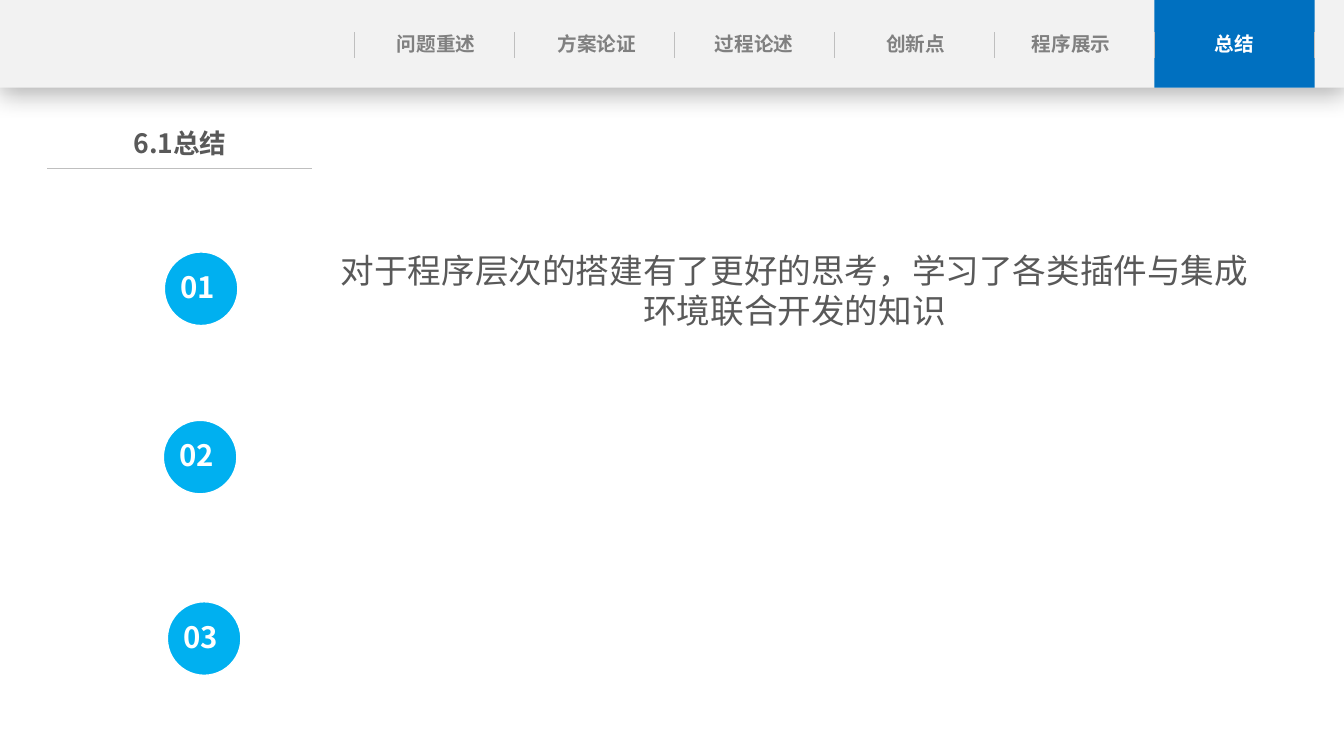
from lxml.etree import SubElement
from pptx import Presentation
from pptx.dml.color import RGBColor
from pptx.enum.shapes import MSO_CONNECTOR, MSO_SHAPE
from pptx.enum.text import MSO_AUTO_SIZE, PP_ALIGN
from pptx.oxml import parse_xml
from pptx.oxml.ns import nsdecls, qn
from pptx.util import Inches, Pt

FONT = "Noto Sans CJK SC"
RULE_GREY = "BFBFBF"
TEXT_GREY = "595959"


def color(hex_code):
    return RGBColor.from_string(hex_code)


def add_text(shapes, text, left, top, width, height, *, size, fill, bold=False,
             align=PP_ALIGN.CENTER, inset_x=0, inset_y=0.05, wrap=True):
    box = shapes.add_textbox(Inches(left), Inches(top), Inches(width), Inches(height))
    frame = box.text_frame
    frame.word_wrap = wrap
    frame.auto_size = MSO_AUTO_SIZE.SHAPE_TO_FIT_TEXT
    frame.margin_left = frame.margin_right = Inches(inset_x)
    frame.margin_top = frame.margin_bottom = Inches(inset_y)
    paragraph = frame.paragraphs[0]
    paragraph.alignment = align
    run = paragraph.add_run()
    run.text = text
    run.font.size = Pt(size)
    run.font.bold = bold
    run.font.color.rgb = color(fill)
    run.font.name = FONT
    SubElement(run.font._element, qn("a:ea"), typeface=FONT)


prs = Presentation()
prs.slide_width, prs.slide_height = Inches(13.33), Inches(7.5)
slide = prs.slides.add_slide(prs.slide_layouts[6])
shapes = slide.shapes

# Navigation bar and highlighted section
for left, width, fill in [(0, 13.33, "F2F2F2"), (11.45, 1.59, "0070C0")]:
    band = shapes.add_shape(MSO_SHAPE.RECTANGLE, Inches(left), 0, Inches(width), Inches(0.87))
    band.fill.solid()
    band.fill.fore_color.rgb = color(fill)
    band.line.fill.background()
    band.shadow.inherit = False
    if left == 0:
        effects = band._element.spPr.find(qn("a:effectLst"))
        effects.append(parse_xml(
            f'<a:outerShdw {nsdecls("a")} blurRad="{Pt(18)}" dist="{Pt(4)}" dir="5400000"'
            ' algn="t" rotWithShape="0"><a:srgbClr val="000000">'
            '<a:alpha val="29000"/></a:srgbClr></a:outerShdw>'))

# Section names
sections = [("问题重述", 3.59, 1.47), ("方案论证", 5.38, 1.08), ("过程论述", 6.68, 1.6),
            ("创新点", 8.59, 0.98), ("程序展示", 10.18, 0.89), ("总结", 11.51, 1.47)]
for name, left, width in sections:
    add_text(shapes, name, left, 0.27, width, 0.34, size=14, bold=True,
             fill="FFFFFF" if name == "总结" else "808080")

# Section dividers and the rule under the heading
dividers = [(3.51 + 1.588 * i, 0.32, 3.51 + 1.588 * i, 0.58) for i in range(7)]
for ends in dividers + [(0.47, 1.67, 3.09, 1.67)]:
    rule = shapes.add_connector(MSO_CONNECTOR.STRAIGHT, *[Inches(v) for v in ends])
    rule.line.color.rgb = color(RULE_GREY)
    rule.line.width = Pt(0.5)
    SubElement(rule._element.spPr, qn("a:effectLst"))

# Heading and summary
add_text(shapes, "6.1总结", 0.75, 1.21, 2.07, 0.42, size=19, bold=True, fill=TEXT_GREY)
add_text(shapes, "对于程序层次的搭建有了更好的思考，学习了各类插件与集成环境联合开发的知识",
         3.26, 2.48, 9.24, 0.81, size=24, fill=TEXT_GREY, inset_y=0)

# Numbered circles
for number, left, top in [("01", 1.63, 2.5), ("02", 1.62, 4.17), ("03", 1.66, 5.97)]:
    marker = shapes.add_group_shape()
    circle = marker.shapes.add_shape(MSO_SHAPE.OVAL, Inches(left), Inches(top),
                                     Inches(0.73), Inches(0.73))
    circle.fill.solid()
    circle.fill.fore_color.rgb = color("00B0F0")
    circle.line.color.rgb = color("FFFFFF")
    circle.line.width = Pt(1)
    circle.shadow.inherit = False
    add_text(marker.shapes, number, left + 0.06, top + 0.12, 0.57, 0.45, size=21, bold=True,
             fill="FFFFFF", align=PP_ALIGN.LEFT, inset_x=0.1, wrap=False)

prs.save("out.pptx")
